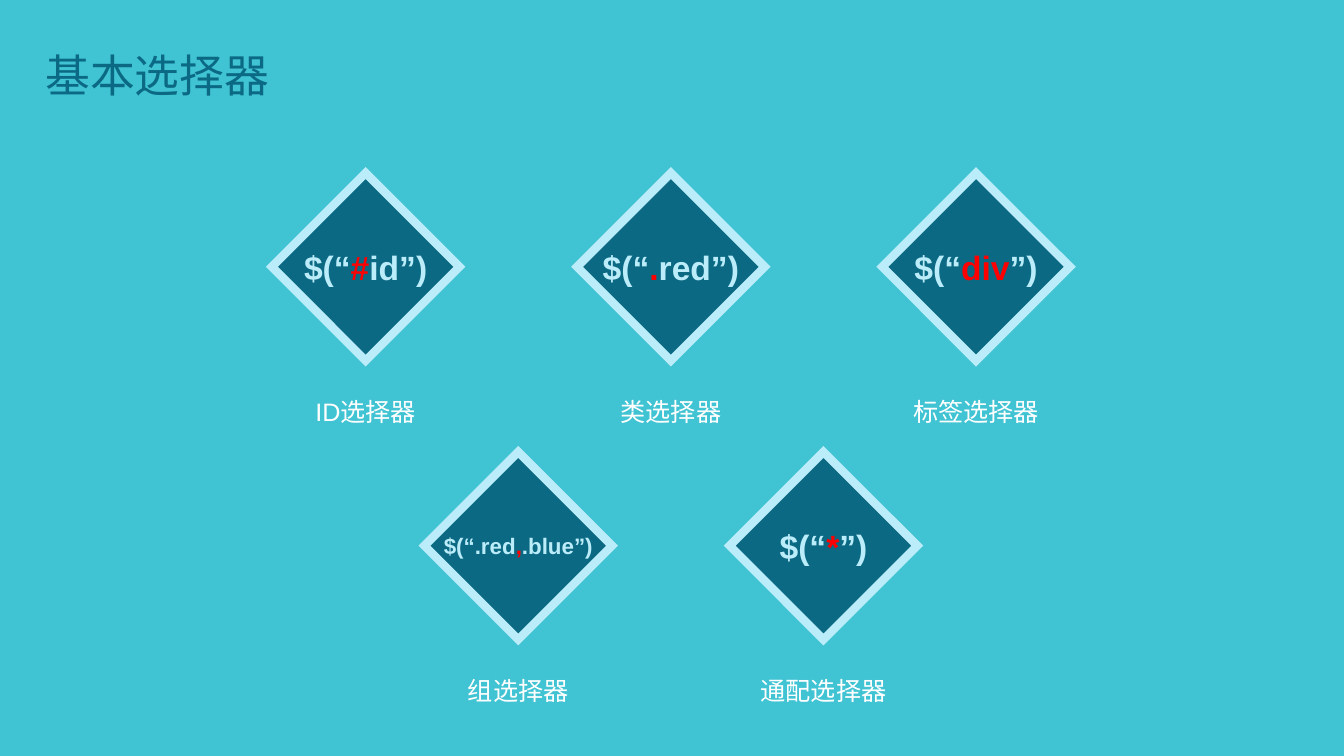
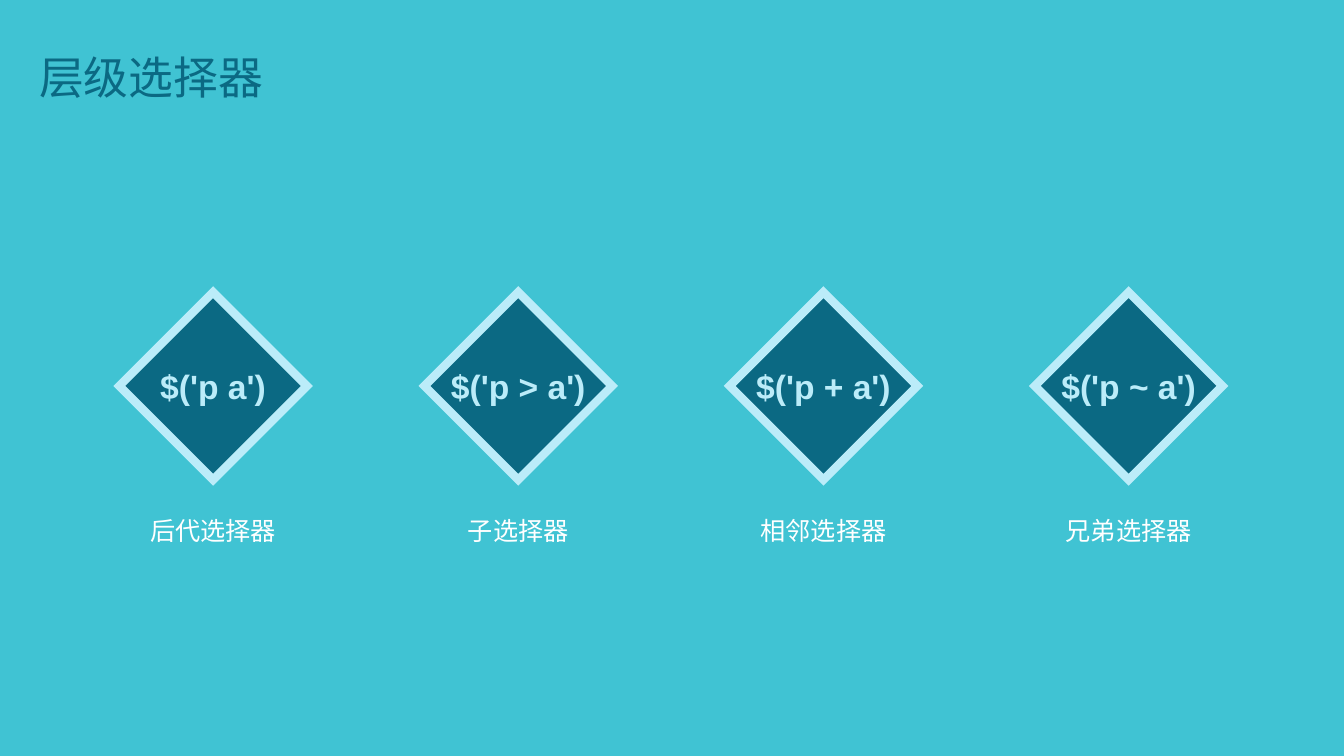
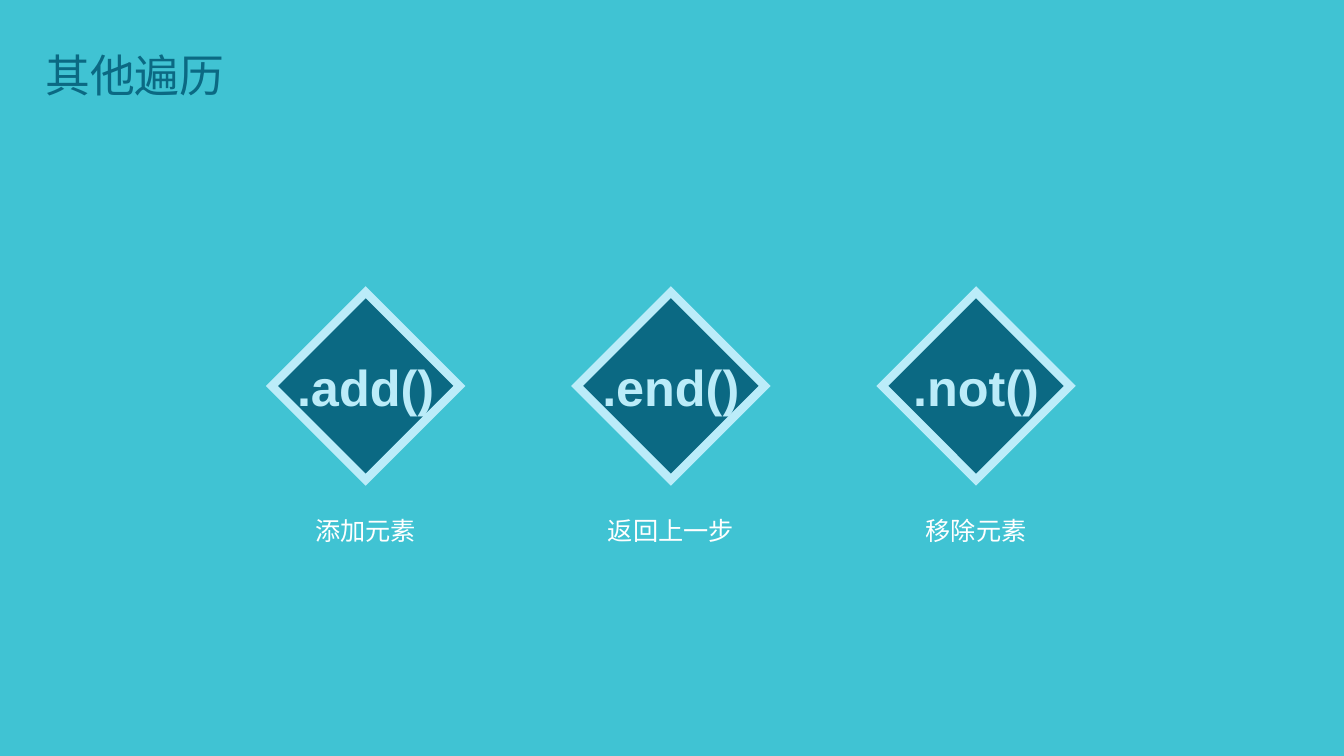
import pptx
import pptx.dml.color
import pptx.enum.shapes
import pptx.enum.text
import pptx.util
from lxml import etree

Pt = pptx.util.Pt
ALIGN = pptx.enum.text.PP_ALIGN
ANCHOR = pptx.enum.text.MSO_ANCHOR

TEAL, NAVY, ICE, RED, WHITE = "40C3D3", "0B6983", "BBECF9", "FF0000", "FFFFFF"
MIDDLE_X = 479.2
PITCH = 218
DIAMOND = 134
CAPTION_WIDTH, CAPTION_HEIGHT = 182, 45
CAPTION_DROP = 78

# Each slide: title, title position, rows of (centre height, items).
# Each item: spans of code as (text, colour), code size, caption.
SLIDES = [
    ("基本选择器", (25.2, 13), [
        (190.6, [
            ([("$(“", ICE), ("#", RED), ("id”)", ICE)], 24, "ID选择器"),
            ([("$(“", ICE), (".", RED), ("red”)", ICE)], 24, "类选择器"),
            ([("$(“", ICE), ("div", RED), ("”)", ICE)], 24, "标签选择器"),
        ]),
        (389.8, [
            ([("$(“.red", ICE), (",", RED), (".blue”)", ICE)], 16, "组选择器"),
            ([("$(“", ICE), ("*", RED), ("”)", ICE)], 24, "通配选择器"),
        ]),
    ]),
    ("层级选择器", (20.9, 14.4), [
        (275.7, [
            ([("$('p a')", ICE)], 24, "后代选择器"),
            ([("$('p > a')", ICE)], 24, "子选择器"),
            ([("$('p + a')", ICE)], 24, "相邻选择器"),
            ([("$('p ~ a')", ICE)], 24, "兄弟选择器"),
        ]),
    ]),
    ("其他遍历", (25.2, 13), [
        (275.7, [
            ([(".add()", ICE)], 36, "添加元素"),
            ([(".end()", ICE)], 36, "返回上一步"),
            ([(".not()", ICE)], 36, "移除元素"),
        ]),
    ]),
]


def color(value):
    return pptx.dml.color.RGBColor.from_string(value)


def write(shape, spans, size, align, anchor, spacing=1.0, bold=False, wrap=True):
    """Fill a shape with one paragraph of (text, colour) spans."""
    frame = shape.text_frame
    frame.word_wrap = wrap
    frame.vertical_anchor = anchor
    para = frame.paragraphs[0]
    para.alignment = align
    para.line_spacing = spacing
    for text, ink in spans:
        span = para.add_run()
        span.text = text
        span.font.name = "Arial"
        span.font.size = Pt(size)
        span.font.bold = bold
        span.font.color.rgb = color(ink)


deck = pptx.Presentation()
deck.slide_width = Pt(960)
deck.slide_height = Pt(540)

for title, (title_left, title_top), rows in SLIDES:
    page = deck.slides.add_slide(deck.slide_layouts[6])
    page.background.fill.solid()
    page.background.fill.fore_color.rgb = color(TEAL)

    for center_y, items in rows:
        for index, (code, code_size, caption) in enumerate(items):
            center_x = MIDDLE_X + (index - (len(items) - 1) / 2) * PITCH

            box = page.shapes.add_textbox(
                Pt(center_x - CAPTION_WIDTH / 2), Pt(center_y + CAPTION_DROP),
                Pt(CAPTION_WIDTH), Pt(CAPTION_HEIGHT))
            write(box, [(caption, WHITE)], 18, ALIGN.CENTER, ANCHOR.TOP, spacing=1.5)

            diamond = page.shapes.add_shape(
                pptx.enum.shapes.MSO_SHAPE.DIAMOND,
                Pt(center_x - DIAMOND / 2), Pt(center_y - DIAMOND / 2),
                Pt(DIAMOND), Pt(DIAMOND))
            diamond.shadow.inherit = False
            diamond.fill.solid()
            diamond.fill.fore_color.rgb = color(NAVY)
            diamond.line.color.rgb = color(ICE)
            diamond.line.width = Pt(6)
            # Sharp corners need a mitred outline
            outline = diamond.line.fill._xPr
            etree.SubElement(outline, pptx.oxml.ns.qn("a:miter"), lim="800000")
            write(diamond, code, code_size, ALIGN.CENTER, ANCHOR.MIDDLE, bold=True, wrap=False)

    box = page.shapes.add_textbox(Pt(title_left), Pt(title_top), Pt(525), Pt(85))
    write(box, [(title, NAVY)], 32, ALIGN.LEFT, ANCHOR.MIDDLE, spacing=0.9)

deck.save("out.pptx")
